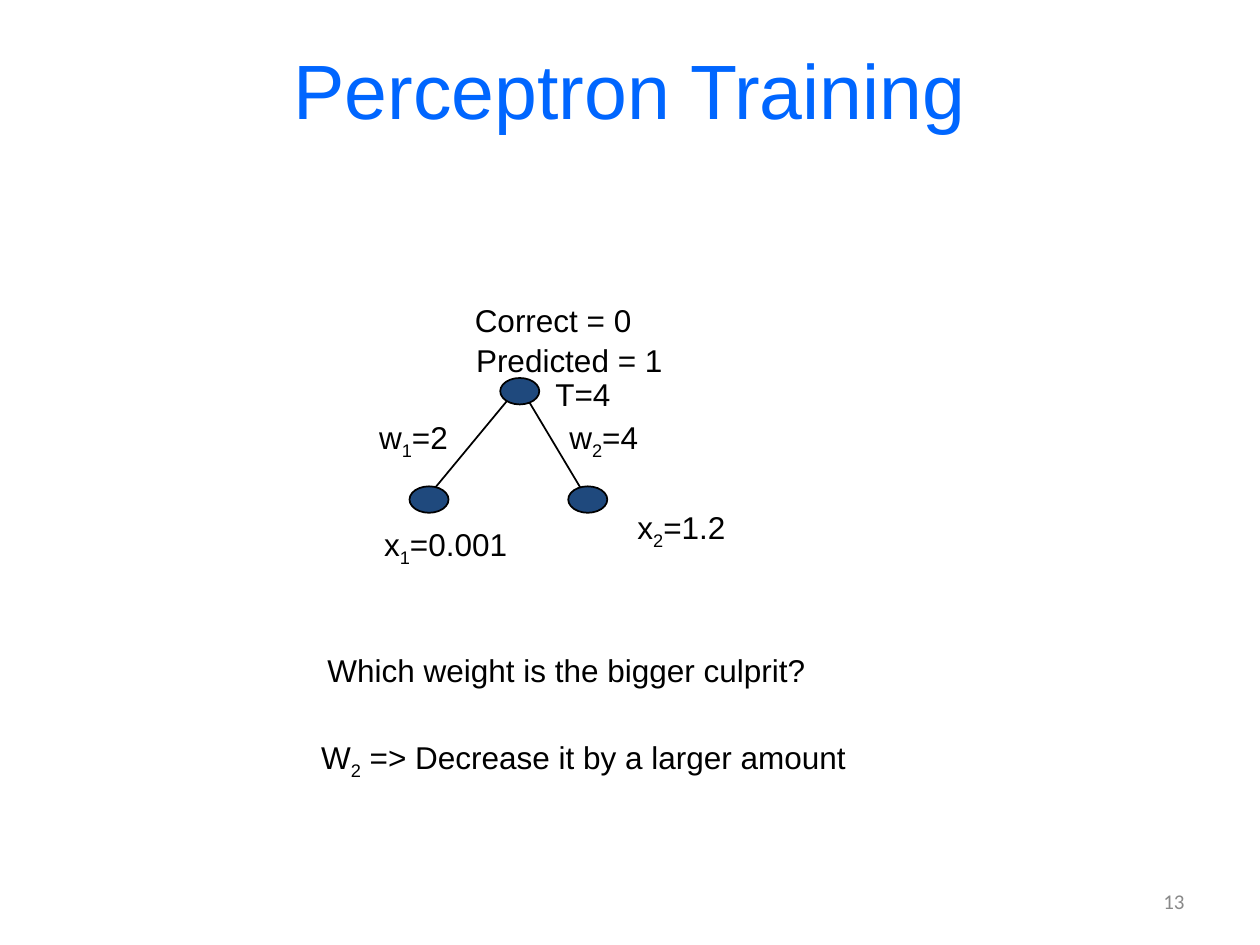
from dataclasses import dataclass
from lxml.etree import SubElement
from pptx import Presentation
from pptx.dml.color import RGBColor
from pptx.enum.shapes import MSO_CONNECTOR, MSO_SHAPE
from pptx.enum.text import MSO_ANCHOR, PP_ALIGN
from pptx.oxml.ns import qn
from pptx.util import Inches, Pt


@dataclass(frozen=True)
class Theme:
    heading: RGBColor = RGBColor(0x00, 0x66, 0xFF)
    ink: RGBColor = RGBColor(0, 0, 0)
    neuron: RGBColor = RGBColor(0x1F, 0x49, 0x7D)
    muted: RGBColor = RGBColor(0x89, 0x89, 0x89)
    face: str = "Arial"
    number_face: str = "Calibri"
    heading_size: int = 44
    text_size: int = 18
    number_size: int = 12
    stroke: int = 1


THEME = Theme()
WIDTH, HEIGHT = Inches(10), Inches(7.5)
COLUMN, ROW = WIDTH / 100, HEIGHT / 75
LABEL_ROWS = 4
NODE_SIZE = (3.1, 2.1)


@dataclass(frozen=True)
class Box:
    left: float
    top: float
    width: float
    height: float

    def point(self, x, y):
        return round((self.left + x) * COLUMN), round((self.top + y) * ROW)

    def area(self, x, y, width, height):
        return *self.point(x, y), round(width * COLUMN), round(height * ROW)

    def whole(self):
        return self.area(0, 0, self.width, self.height)


def style(paragraph, face, size, color):
    paragraph.font.name = face
    paragraph.font.size = Pt(size)
    paragraph.font.color.rgb = color


def add_label(slide, area, parts, wrap=False):
    frame = slide.shapes.add_textbox(*area).text_frame
    frame.word_wrap = wrap
    paragraph = frame.paragraphs[0]
    style(paragraph, THEME.face, THEME.text_size, THEME.ink)
    for index, part in enumerate(parts):
        run = paragraph.add_run()
        run.text = part
        if index == 1:
            run.font._element.set("baseline", "-25000")


def add_heading(slide, box):
    heading = slide.shapes.title
    heading.left, heading.top, heading.width, heading.height = box.whole()
    frame = heading.text_frame
    frame.text = "Perceptron Training"
    frame.vertical_anchor = MSO_ANCHOR.MIDDLE
    frame.paragraphs[0].alignment = PP_ALIGN.CENTER
    style(frame.paragraphs[0], THEME.face, THEME.heading_size, THEME.heading)


def add_edge(slide, start, end):
    edge = slide.shapes.add_connector(MSO_CONNECTOR.STRAIGHT, *start, *end)
    edge.line.color.rgb = THEME.ink
    edge.line.width = Pt(THEME.stroke)
    SubElement(edge._element.spPr, qn("a:effectLst"))


def add_neuron(slide, area):
    neuron = slide.shapes.add_shape(MSO_SHAPE.OVAL, *area)
    neuron.shadow.inherit = False
    neuron.fill.solid()
    neuron.fill.fore_color.rgb = THEME.neuron
    neuron.line.color.rgb = THEME.ink
    neuron.line.width = Pt(THEME.stroke)


def add_perceptron(slide, box):
    edges = [((12, 7.5), (4.8, 16.2)), ((12.4, 7.5), (17.6, 16.2))]
    neurons = [(3.5, 15.2), (16.1, 15.2), (10.7, 6.6)]
    labels = [
        (0.5, 17.8, 12, ("x", "1", "=0.001"), False),
        (20.6, 16.4, 9.2, ("x", "2", "=1.2"), False),
        (7.8, 3.2, 17, ("Predicted = 1",), False),
        (0.1, 9.3, 9.9, ("w", "1", "=2"), True),
        (15.2, 9.3, 7.6, ("w", "2", "=4"), True),
        (7.7, 0, 14.6, ("Correct = 0",), False),
        (14.1, 5.9, 6.4, ("T=4",), False),
    ]
    for start, end in edges:
        add_edge(slide, box.point(*start), box.point(*end))
    for x, y in neurons:
        add_neuron(slide, box.area(x, y, *NODE_SIZE))
    for x, y, width, parts, wrap in labels:
        add_label(slide, box.area(x, y, width, LABEL_ROWS), parts, wrap)


def add_conclusion(slide, box):
    question = ("Which weight is the bigger culprit?",)
    answer = ("W", "2", " => Decrease it by a larger amount")
    add_label(slide, box.area(0.5, 0, 40.3, LABEL_ROWS), question)
    add_label(slide, box.area(0, 6.9, box.width, LABEL_ROWS), answer)


def add_page_number(slide, box):
    frame = slide.shapes.add_textbox(*box.whole()).text_frame
    frame.word_wrap = True
    frame.vertical_anchor = MSO_ANCHOR.MIDDLE
    frame.text = "13"
    frame.paragraphs[0].alignment = PP_ALIGN.RIGHT
    style(frame.paragraphs[0], THEME.number_face, THEME.number_size, THEME.muted)


def main():
    deck = Presentation()
    deck.slide_width, deck.slide_height = WIDTH, HEIGHT
    slide = deck.slides.add_slide(deck.slide_layouts.get_by_name("Title Only"))
    add_heading(slide, Box(5, 0.8, 90, 12.5))
    add_page_number(slide, Box(71.7, 69.5, 23.3, 4))
    add_perceptron(slide, Box(29, 23.4, 30, 22))
    add_conclusion(slide, Box(24.5, 51.2, 44.2, 11))
    deck.save("out.pptx")


if __name__ == "__main__":
    main()
